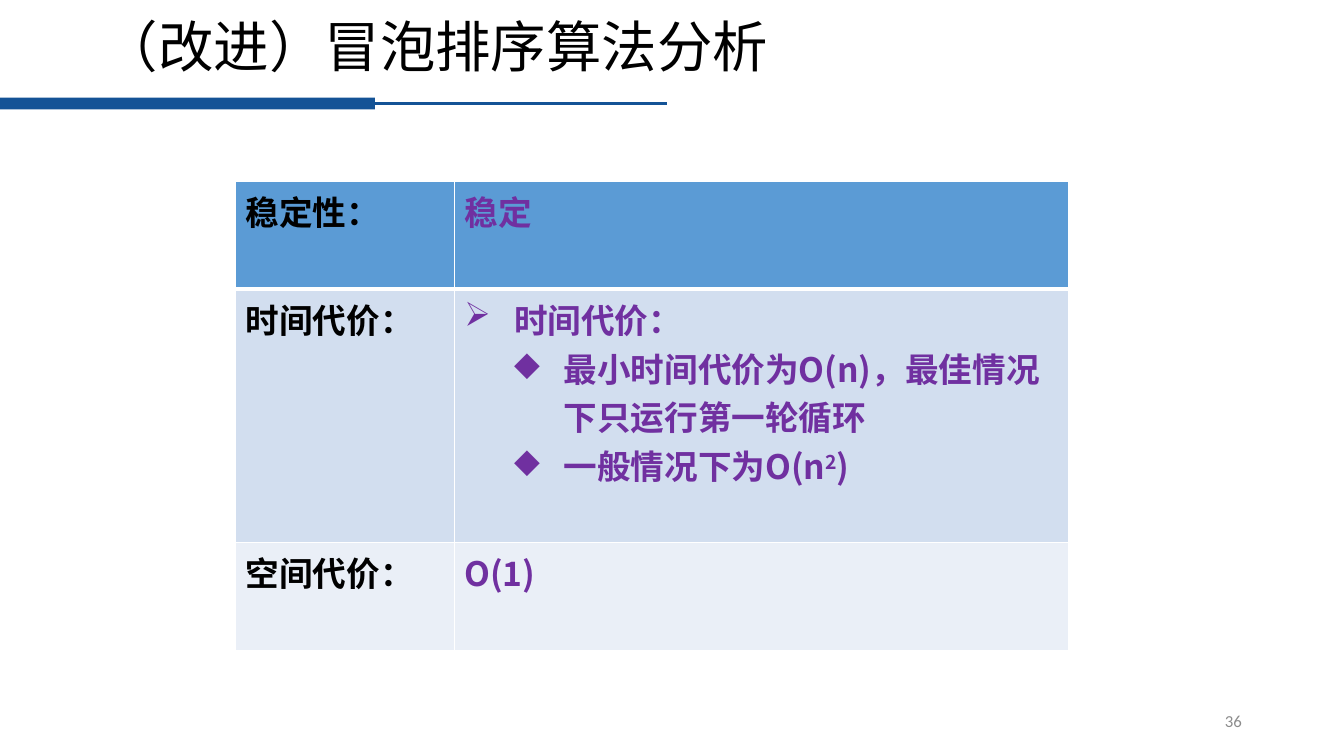
from lxml.etree import SubElement
from pptx import Presentation
from pptx.dml.color import RGBColor
from pptx.enum.shapes import MSO_CONNECTOR, MSO_SHAPE
from pptx.enum.text import MSO_ANCHOR, MSO_AUTO_SIZE, PP_ALIGN
from pptx.oxml import parse_xml
from pptx.oxml.ns import qn
from pptx.util import Cm, Pt

NS = "http://schemas.openxmlformats.org/drawingml/2006/main"
BLUE, BLACK, PURPLE = "145396", "000000", "7030A0"
LATIN, HAN = "Calibri", "Noto Sans CJK SC"


def color(text):
    return RGBColor.from_string(text)


def add_run(para, text, size, tint, face=LATIN, bold=False, base=0):
    run = para.add_run()
    run.text = text
    font = run.font
    font.size, font.bold, font.name = Pt(size), bold, face
    font.color.rgb = color(tint)
    props = run._r.get_or_add_rPr()
    SubElement(props, qn("a:ea")).set("typeface", HAN)
    if base:
        props.set("baseline", str(base * 1000))


def add_bullet(para, mark, level):
    para.level = level
    props = para._p.get_or_add_pPr()
    hang = Cm(1.25)
    props.set("marL", str(hang * (level + 1)))
    props.set("indent", str(-hang))
    SubElement(props, qn("a:buChar")).set("char", mark)


def set_edges(cell, top, bottom):
    props = cell._tc.get_or_add_tcPr()
    edges = (("L", 1), ("R", 1), ("T", top), ("B", bottom))
    for spot, (side, width) in enumerate(edges):
        props.insert(spot, parse_xml(
            f'<a:ln{side} xmlns:a="{NS}" w="{Pt(width)}"><a:solidFill>'
            f'<a:srgbClr val="FFFFFF"/></a:solidFill></a:ln{side}>'))


def draw_head(slide, left, top, width, height):
    # Title
    title = slide.shapes.title
    title.left, title.top = Cm(left), Cm(top)
    title.width, title.height = Cm(width), Cm(height)
    frame = title.text_frame
    frame.auto_size = MSO_AUTO_SIZE.NONE
    frame.vertical_anchor = MSO_ANCHOR.MIDDLE
    para = frame.paragraphs[0]
    para.alignment, para.line_spacing = PP_ALIGN.LEFT, 0.9
    add_run(para, "（改进）冒泡排序算法分析", 39.6, BLACK)

    # Thick bar and thin rule under the title
    under = top + height + 0.45
    bar = slide.shapes.add_shape(
        MSO_SHAPE.RECTANGLE, 0, Cm(under), Cm(9.45), Cm(0.3))
    bar.shadow.inherit = False
    bar.fill.solid()
    bar.fill.fore_color.rgb = color(BLUE)
    bar.line.fill.background()
    level = Cm(under + 0.14)
    rule = slide.shapes.add_connector(
        MSO_CONNECTOR.STRAIGHT, Cm(9.35), level, Cm(16.81), level)
    rule.line.color.rgb = color(BLUE)
    rule.line.width = Pt(2.25)
    SubElement(rule._element.spPr, qn("a:effectLst"))


# Each paragraph: bullet, level, runs of (text, baseline)
ROWS = [
    ("稳定性：", "5B9BD5", 2.72, [("", 0, [("稳定", 0)])]),
    ("时间代价：", "D2DEEF", 6.38, [
        ("➢", 0, [("时间代价：", 0)]),
        ("◆", 1, [("最小时间代价为O(n)，最佳情况下只运行第一轮循环", 0)]),
        ("◆", 1, [("一般情况下为O(n", 0), ("2", 30), (")", 0)]),
    ]),
    ("空间代价：", "EAEFF7", 2.72, [("", 0, [("O(1)", 0)])]),
]


def draw_table(slide, left, top, width):
    tall = sum(row[2] for row in ROWS)
    table = slide.shapes.add_table(
        len(ROWS), 2, Cm(left), Cm(top), Cm(width), Cm(tall)).table
    table.columns[0].width = Cm(5.51)
    table.columns[1].width = Cm(width - 5.51)
    for i, (label, fill, height, paras) in enumerate(ROWS):
        table.rows[i].height = Cm(height)
        name, body = table.cell(i, 0), table.cell(i, 1)
        for cell in (name, body):
            cell.fill.solid()
            cell.fill.fore_color.rgb = color(fill)
            # Heavier line below the first row
            set_edges(cell, 3 if i == 1 else 1, 3 if i == 0 else 1)
        add_run(name.text_frame.paragraphs[0], label, 24, BLACK, bold=True)
        frame = body.text_frame
        for j, (mark, level, runs) in enumerate(paras):
            para = frame.add_paragraph() if j else frame.paragraphs[0]
            if mark:
                add_bullet(para, mark, level)
            for text, base in runs:
                add_run(para, text, 24, PURPLE, HAN, True, base)


def draw_page(slide, left, top, width, height):
    box = slide.shapes.add_textbox(Cm(left), Cm(top), Cm(width), Cm(height))
    frame = box.text_frame
    frame.word_wrap = True
    frame.vertical_anchor = MSO_ANCHOR.MIDDLE
    para = frame.paragraphs[0]
    para.alignment = PP_ALIGN.RIGHT
    add_run(para, "36", 12, "8C8C8C")


def main():
    deck = Presentation()
    deck.slide_width, deck.slide_height = Cm(33.87), Cm(19.05)
    slide = deck.slides.add_slide(deck.slide_layouts[5])
    draw_head(slide, 2.34, 0.51, 29.2, 1.5)
    draw_table(slide, 5.94, 4.57, 21)
    draw_page(slide, 23.93, 17.65, 7.62, 1.02)
    deck.save("out.pptx")


if __name__ == "__main__":
    main()
